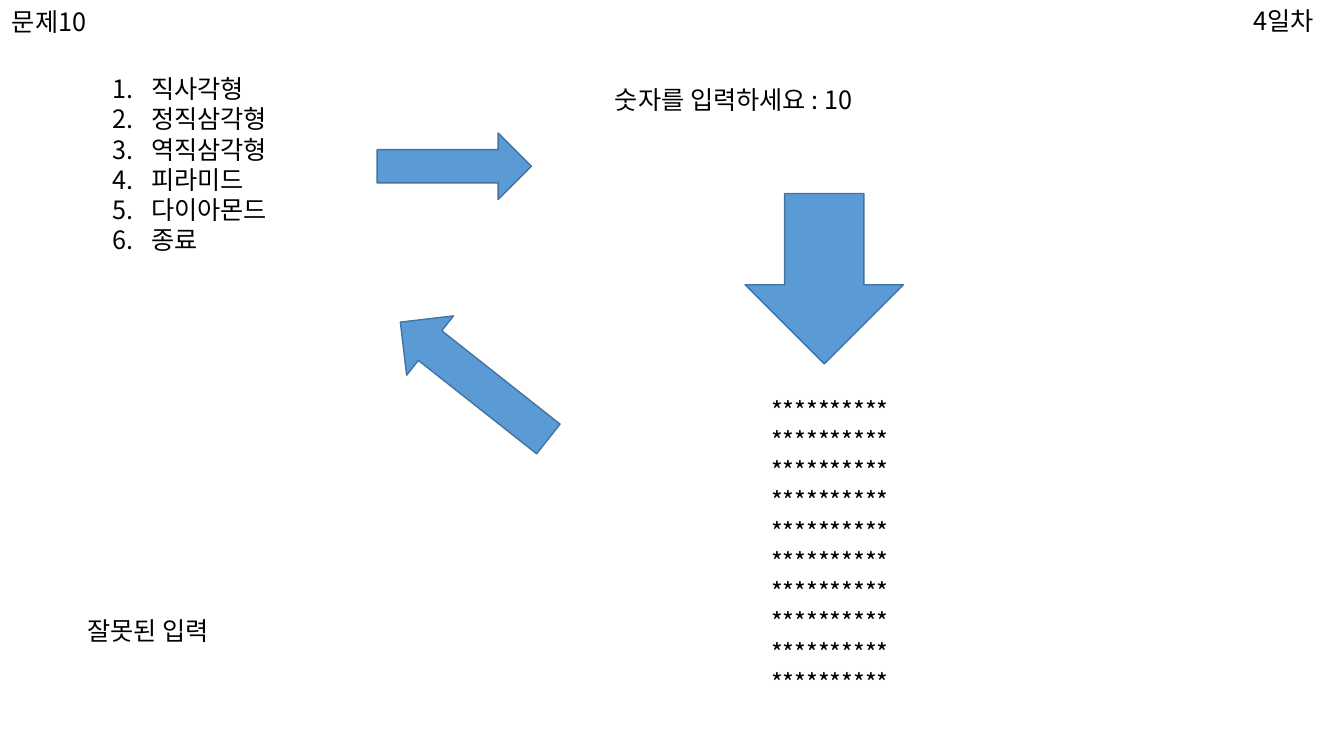
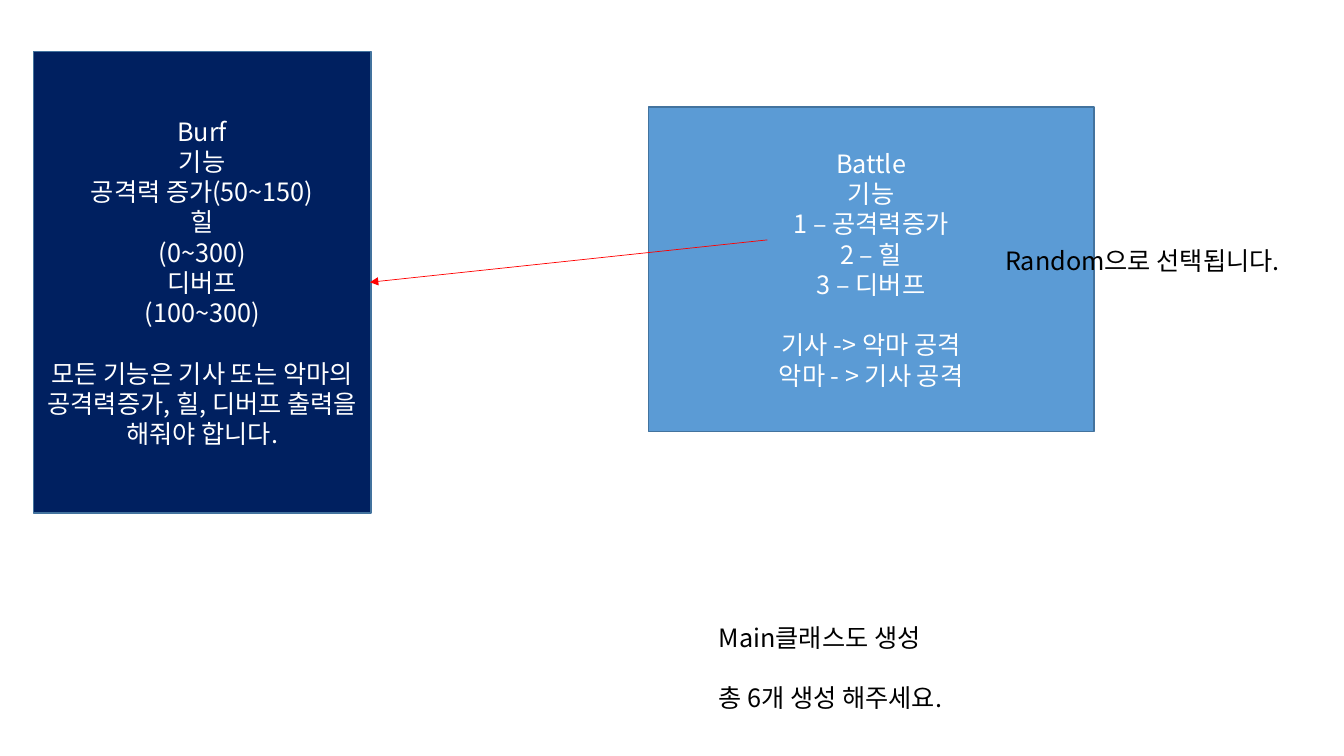
import pptx
import pptx.util
import pptx.dml.color
import pptx.enum.shapes
import pptx.enum.text
import pptx.oxml
import pptx.oxml.ns
from dataclasses import dataclass

Inches = pptx.util.Inches
Pt = pptx.util.Pt
RGB = pptx.dml.color.RGBColor
Shape = pptx.enum.shapes.MSO_SHAPE
Align = pptx.enum.text.PP_ALIGN


@dataclass(frozen=True)
class Theme:
    font: str = "Noto Sans CJK KR"
    size: float = 18
    pitch: float = 21.6
    ink: str = "000000"
    white: str = "FFFFFF"
    blue: str = "5B9BD5"
    navy: str = "002060"
    edge: str = "43739E"
    red: str = "FF0000"


THEME = Theme()


def color(code):
    return RGB.from_string(code)


def add_node(parent, tag, **attrs):
    """Append a DrawingML element and return it."""
    node = pptx.oxml.parse_xml(f"<{tag} {pptx.oxml.ns.nsdecls('a')}/>")
    for key, value in attrs.items():
        node.set(key, value)
    parent.append(node)
    return node


def add_run(para, text, ink):
    run = para.add_run()
    run.text = text
    font = run.font
    font.name = THEME.font
    font.size = Pt(THEME.size)
    font.color.rgb = color(ink)
    add_node(font._element, "a:ea", typeface=THEME.font)


def number(para):
    """Number a paragraph with a hanging indent."""
    props = para._p.get_or_add_pPr()
    props.set("marL", str(Inches(0.38)))
    props.set("indent", str(Inches(-0.38)))
    add_node(props, "a:buFont", typeface=THEME.font)
    add_node(props, "a:buAutoNum", type="arabicPeriod")


def fill_text(frame, groups, ink, align=Align.LEFT, listed=False):
    """Write groups of lines, one line of space between groups."""
    frame.word_wrap = True
    first = True
    for index, group in enumerate(groups):
        for row, line in enumerate(group):
            para = frame.paragraphs[0] if first else frame.add_paragraph()
            first = False
            para.alignment = align
            para.line_spacing = Pt(THEME.pitch)
            if index and not row:
                para.space_before = Pt(THEME.pitch)
            if listed:
                number(para)
            add_run(para, line, ink)


def add_text(slide, at, *groups, listed=False):
    box = slide.shapes.add_textbox(*map(Inches, at))
    fill_text(box.text_frame, groups, THEME.ink, listed=listed)


def add_block(slide, kind, at, fill, turn=0):
    block = slide.shapes.add_shape(kind, *map(Inches, at))
    block.shadow.inherit = False
    block.rotation = turn
    block.fill.solid()
    block.fill.fore_color.rgb = color(fill)
    block.line.color.rgb = color(THEME.edge)
    block.line.width = Pt(1)
    return block


def add_arrow(slide, at, turn=0):
    add_block(slide, Shape.RIGHT_ARROW, at, THEME.blue, turn)


def add_card(slide, at, fill, *groups):
    card = add_block(slide, Shape.RECTANGLE, at, fill)
    frame = card.text_frame
    frame.vertical_anchor = pptx.enum.text.MSO_ANCHOR.MIDDLE
    fill_text(frame, groups, THEME.white, Align.CENTER)


def add_link(slide, start, end):
    link = slide.shapes.add_connector(
        pptx.enum.shapes.MSO_CONNECTOR.STRAIGHT, *map(Inches, start + end))
    link.line.color.rgb = color(THEME.red)
    link.line.width = Pt(0.5)
    add_node(link.line._get_or_add_ln(), "a:tailEnd", type="triangle")
    add_node(link._element.spPr, "a:effectLst")


def menu_slide(slide):
    # Menu, prompt and star output
    add_text(slide, (1.02, 0.68, 1.84, 2.22),
             ["직사각형", "정직삼각형", "역직삼각형", "피라미드", "다이아몬드", "종료"],
             listed=True)
    add_text(slide, (6, 0.79, 2.82, 0.4), ["숫자를 입력하세요 : 10"])
    add_text(slide, (7.55, 3.87, 1.5, 3.43), ["*" * 10] * 10)
    add_text(slide, (0.77, 6.06, 1.55, 0.4), ["잘못된 입력"])

    # Flow arrows
    add_arrow(slide, (3.74, 1.32, 1.53, 0.66))
    add_arrow(slide, (7.33, 1.98, 1.69, 1.57), 90)
    add_arrow(slide, (3.77, 3.4, 1.87, 0.75), 218.3)

    # Corner labels
    add_text(slide, (0.02, 0.01, 1.2, 0.4), ["문제10"])
    add_text(slide, (12.33, 0, 1, 0.4), ["4일차"])


def battle_slide(slide):
    # Class cards
    add_card(slide, (6.43, 1.06, 4.42, 3.22), THEME.blue,
             ["Battle", "기능", "1 – 공격력증가", "2 – 힐", "3 – 디버프"],
             ["기사 -> 악마 공격", "악마 - > 기사 공격"])
    add_card(slide, (0.33, 0.51, 3.35, 4.58), THEME.navy,
             ["Burf", "기능", "공격력 증가(50~150)", "힐", "(0~300)",
              "디버프", "(100~300)"],
             ["모든 기능은 기사 또는 악마의 공격력증가, 힐, 디버프 출력을 해줘야 합니다."])
    add_link(slide, (7.61, 2.38), (3.67, 2.8))

    # Remarks
    add_text(slide, (9.87, 2.38, 3.1, 0.4), ["Random으로 선택됩니다."])
    add_text(slide, (7.03, 6.12, 2.7, 1.01),
             ["Main클래스도 생성"], ["총 6개 생성 해주세요."])


def main():
    deck = pptx.Presentation()
    deck.slide_width = Inches(13.33)
    deck.slide_height = Inches(7.5)
    blank = deck.slide_layouts[6]
    for build in (menu_slide, battle_slide):
        build(deck.slides.add_slide(blank))
    deck.save("out.pptx")


if __name__ == "__main__":
    main()
